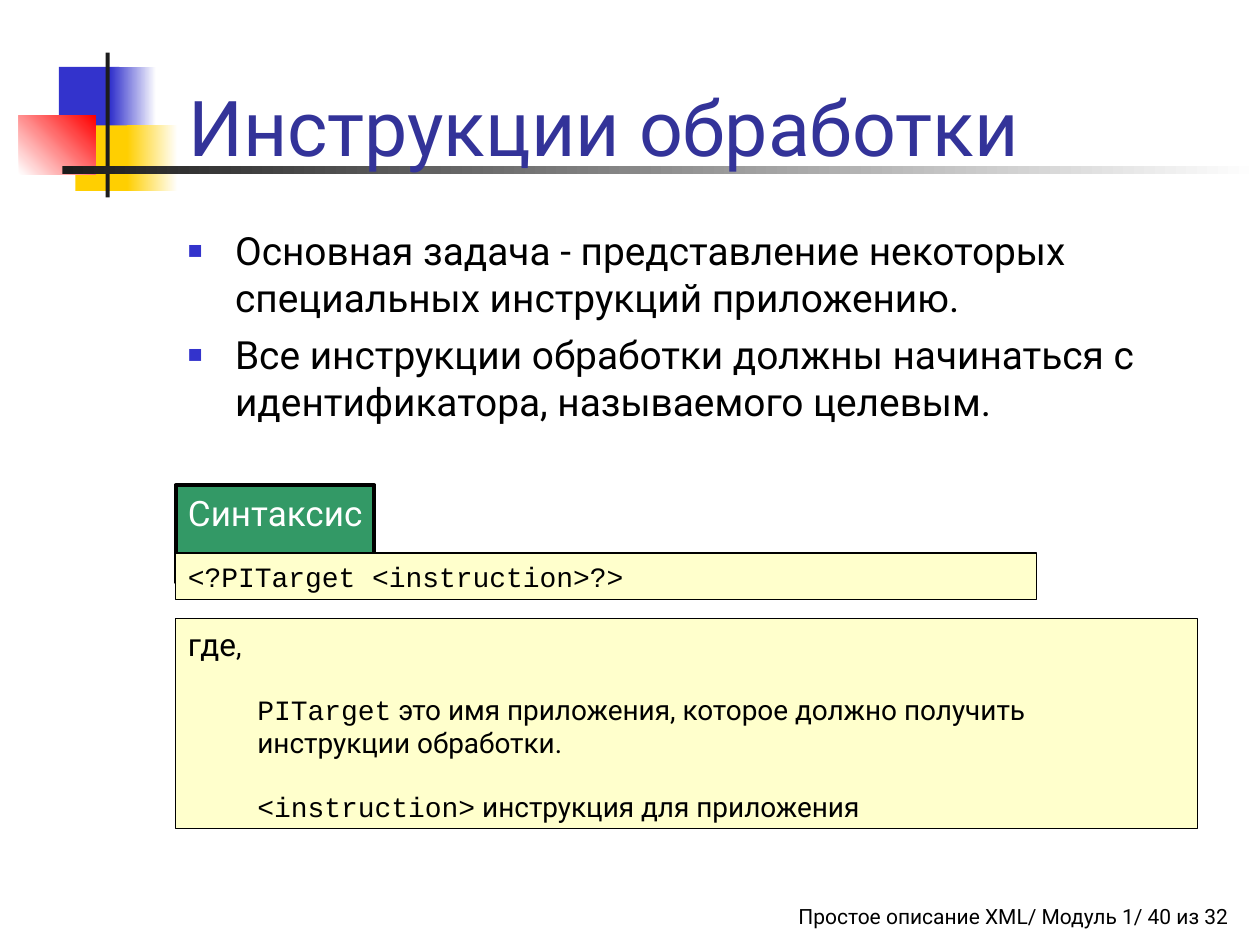
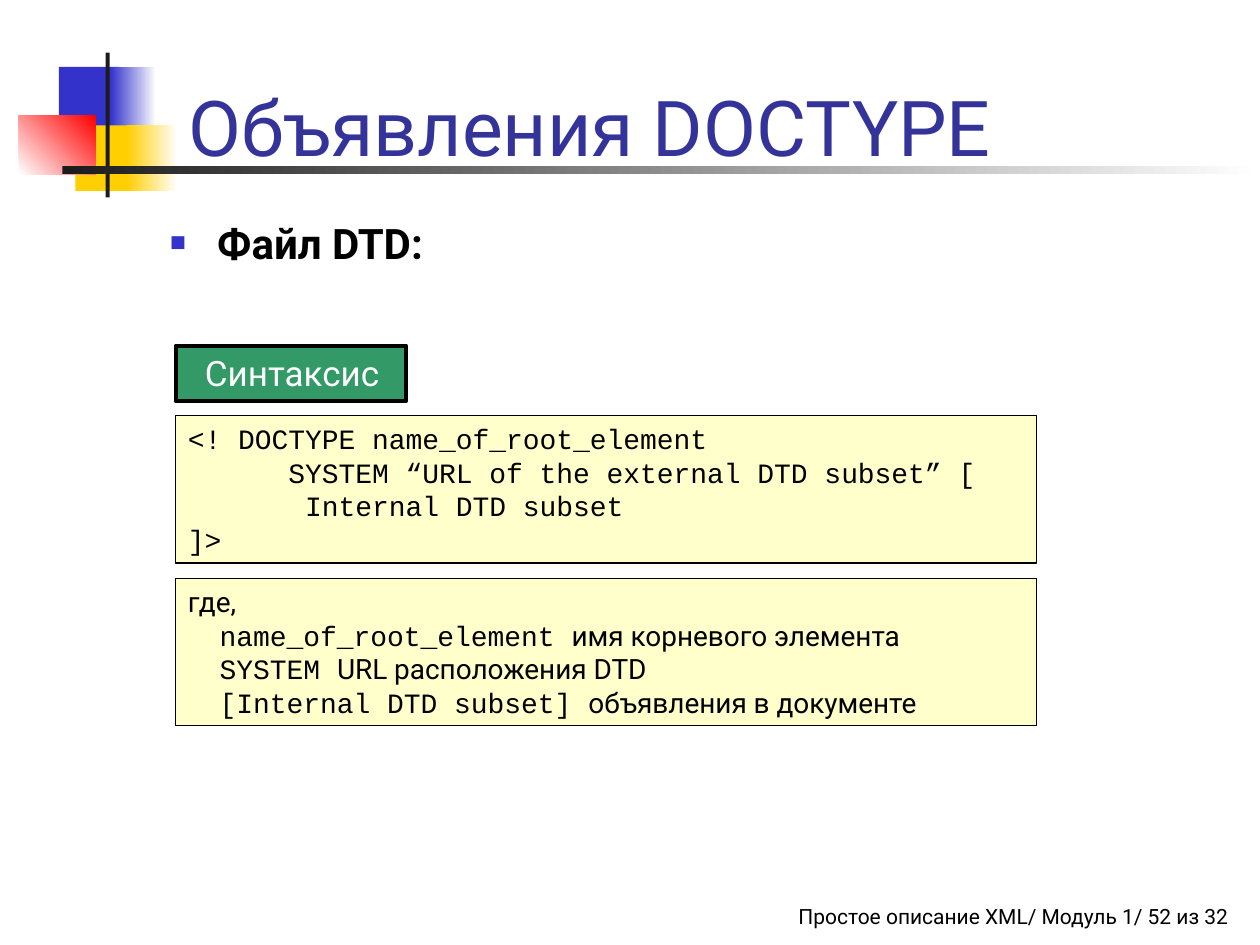
from collections import namedtuple
from pptx import Presentation
from pptx.dml.color import RGBColor
from pptx.enum.shapes import MSO_SHAPE
from pptx.enum.text import MSO_ANCHOR, MSO_AUTO_SIZE, PP_ALIGN
from pptx.oxml.ns import qn
from pptx.util import Cm, Pt
from lxml.etree import SubElement

Box = namedtuple("Box", "left top width height")

BLUE, YELLOW, RED, DARK = "3333CC", "FFCF01", "FF0000", "1C1C1C"
WHITE, BLACK, TITLE_BLUE = "FFFFFF", "000000", "333399"
GREEN, CREAM = "339966", "FFFFCC"
SANS, MONO = "Roboto", "Courier New"

TITLE_BOX = Box(3.54, 0.42, 21.64, 3.18)
EMBLEM_BOX = Box(0.38, 1.06, 25.02, 2.92)
FOOTER_BOX = Box(15.24, 18.08, 9.53, 1.35)
PANEL_LEFT, CODE_WIDTH = 3.54, 17.35
HANGING = 0.95

EMBLEM_PARTS = [
    (Box(0.81, 0.29, 1.22, 1.32), [BLUE], 0),
    (Box(1.85, 0.29, 0.92, 1.32), [BLUE, WHITE], 0),
    (Box(1.14, 1.47, 1.17, 1.32), [YELLOW], 0),
    (Box(2.18, 1.47, 1.02, 1.32), [YELLOW, WHITE], 0),
    (Box(0, 1.27, 1.55, 1.18), [WHITE, RED], 45),
    (Box(1.75, 0, 0.08, 2.92), [DARK], 0),
    (Box(0.88, 2.29, 24.14, 0.15), [DARK, WHITE], 0),
]


def color(value):
    return RGBColor.from_string(value)


def assign(target, values):
    for name, value in values.items():
        setattr(target, name, value)


def place(box):
    return [Cm(length) for length in box]


def set_frame(frame, **values):
    assign(frame, {"word_wrap": True, "auto_size": MSO_AUTO_SIZE.NONE,
                   "vertical_anchor": MSO_ANCHOR.TOP, **values})


def add_span(para, text, size, ink=BLACK, face=SANS, bold=False):
    span = para.add_run()
    span.text = text
    assign(span.font, {"name": face, "size": Pt(size), "bold": bold})
    span.font.color.rgb = color(ink)


def indent(para, left, first=0):
    props = para._p.get_or_add_pPr()
    props.set("marL", str(Cm(left)))
    props.set("indent", str(Cm(first)))
    return props


def add_bullet(para):
    props = indent(para, HANGING, -HANGING)
    tint = SubElement(props, qn("a:buClr"))
    SubElement(tint, qn("a:srgbClr"), val=BLUE)
    SubElement(props, qn("a:buSzPct"), val="40000")
    SubElement(props, qn("a:buFont"), typeface=SANS)
    SubElement(props, qn("a:buChar"), char="■")


def write_lines(frame, lines, gap=0):
    for index, (left, spans) in enumerate(lines):
        para = frame.add_paragraph() if index else frame.paragraphs[0]
        indent(para, left)
        assign(para, {"alignment": PP_ALIGN.LEFT,
                      "space_before": Pt(gap if index else 0)})
        for span in spans:
            add_span(para, **span)


def add_rectangle(page, box, fills, angle=0):
    shape = page.shapes.add_shape(MSO_SHAPE.RECTANGLE, *place(box))
    shape.shadow.inherit = False
    if len(fills) == 1:
        shape.fill.solid()
        shape.fill.fore_color.rgb = color(fills[0])
    else:
        shape.fill.gradient()
        shape.fill.gradient_angle = angle
        for stop, value in zip(shape.fill.gradient_stops, fills):
            stop.color.rgb = color(value)
    shape.line.fill.background()
    return shape


def add_panel(page, box, lines, fill=CREAM, border=0.75, gap=0, **layout):
    panel = add_rectangle(page, box, [fill])
    panel.line.color.rgb = color(BLACK)
    panel.line.width = Pt(border)
    set_frame(panel.text_frame, **layout)
    write_lines(panel.text_frame, lines, gap)


def add_syntax_label(page, box, left=0):
    label = {"text": "Синтаксис", "size": 20, "ink": WHITE}
    add_panel(page, box, [(left, [label])], GREEN, 2.25, margin_right=0)


def add_code(page, box, code):
    lines = [(0, [{"text": line, "size": 16, "face": MONO}])
             for line in code.split("\n")]
    add_panel(page, box, lines)


def add_legend(page, box, heading, terms, left, gap=0):
    lines = [(0, heading)]
    for term, meaning in terms:
        lines.append((left, [{"text": term, "size": 16, "face": MONO},
                             {"text": meaning, "size": 16}]))
    add_panel(page, box, lines, gap=gap)


def add_bullets(page, box, texts, size, bold=False, **layout):
    frame = page.shapes.add_textbox(*place(box)).text_frame
    set_frame(frame)
    for index, text in enumerate(texts):
        para = frame.add_paragraph() if index else frame.paragraphs[0]
        add_bullet(para)
        assign(para, {"space_before": Pt(6 if index else 0), **layout})
        add_span(para, text, size, bold=bold)


def add_emblem(page, box):
    for part, fills, angle in EMBLEM_PARTS:
        moved = part._replace(left=box.left + part.left, top=box.top + part.top)
        add_rectangle(page, moved, fills, angle)


def add_footer(page, box, number):
    frame = page.shapes.add_textbox(*place(box)).text_frame
    set_frame(frame, margin_right=0)
    para = frame.paragraphs[0]
    para.alignment = PP_ALIGN.RIGHT
    add_span(para, f"Простое описание XML/ Модуль 1/ {number} из 32", 12)


def set_title(page, box, text):
    title = page.shapes.title
    assign(title, dict(zip(box._fields, place(box))))
    set_frame(title.text_frame, vertical_anchor=MSO_ANCHOR.BOTTOM)
    para = title.text_frame.paragraphs[0]
    para.alignment = PP_ALIGN.LEFT
    add_span(para, text, 44, TITLE_BLUE)
    title.element.getparent().append(title.element)


def add_page(deck, title, number):
    page = deck.slides.add_slide(deck.slide_layouts[5])
    add_footer(page, FOOTER_BOX, number)
    add_emblem(page, EMBLEM_BOX)
    set_title(page, TITLE_BOX, title)
    return page


def build_instructions(deck):
    page = add_page(deck, "Инструкции обработки", 40)
    add_bullets(page, Box(PANEL_LEFT, 4.45, 21.23, 4.7), [
        "Основная задача - представление некоторых специальных инструкций приложению.",
        "Все инструкции обработки должны начинаться с идентификатора, называемого целевым.",
    ], 22.2)
    add_syntax_label(page, Box(PANEL_LEFT, 9.78, 4.01, 1.96))
    add_code(page, Box(PANEL_LEFT, 11.15, CODE_WIDTH, 0.94),
             "<?PITarget <instruction>?>")
    add_legend(page, Box(PANEL_LEFT, 12.47, 20.6, 4.24),
               [{"text": "где", "size": 18}, {"text": ",", "size": 16}], [
        ("PITarget", " это имя приложения, которое должно получить инструкции обработки."),
        ("<instruction>", " инструкция для приложения"),
    ], 1.4, 17)


def build_doctype(deck):
    page = add_page(deck, "Объявления DOCTYPE", 52)
    add_code(page, Box(PANEL_LEFT, 8.38, CODE_WIDTH, 2.97),
             "<! DOCTYPE name_of_root_element\n"
             "      SYSTEM “URL of the external DTD subset” [\n"
             "       Internal DTD subset\n"
             "]>")
    add_syntax_label(page, Box(PANEL_LEFT, 6.97, 4.65, 1.12), 0.34)
    add_legend(page, Box(PANEL_LEFT, 11.66, CODE_WIDTH, 2.97),
               [{"text": "где,", "size": 16}], [
        ("name_of_root_element ", "имя корневого элемента"),
        ("SYSTEM ", "URL расположения DTD"),
        ("[Internal DTD subset] ", "объявления в документе"),
    ], 0.64)
    add_bullets(page, Box(3.18, 4.45, 21.59, 12.9), ["Файл DTD:"], 24, True,
                alignment=PP_ALIGN.JUSTIFY, line_spacing=0.8)


def main():
    deck = Presentation()
    deck.slide_width, deck.slide_height = Cm(25.4), Cm(19.05)
    build_instructions(deck)
    build_doctype(deck)
    deck.save("out.pptx")


if __name__ == "__main__":
    main()
